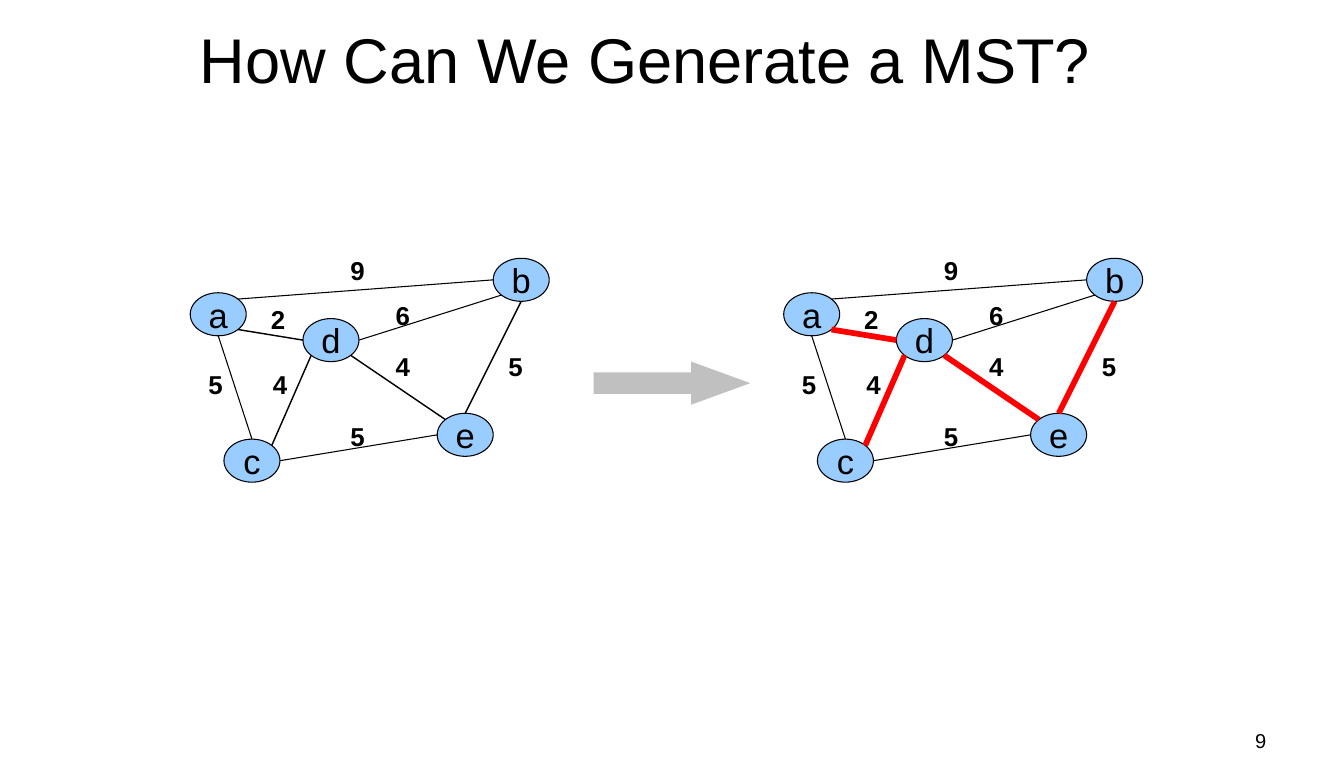
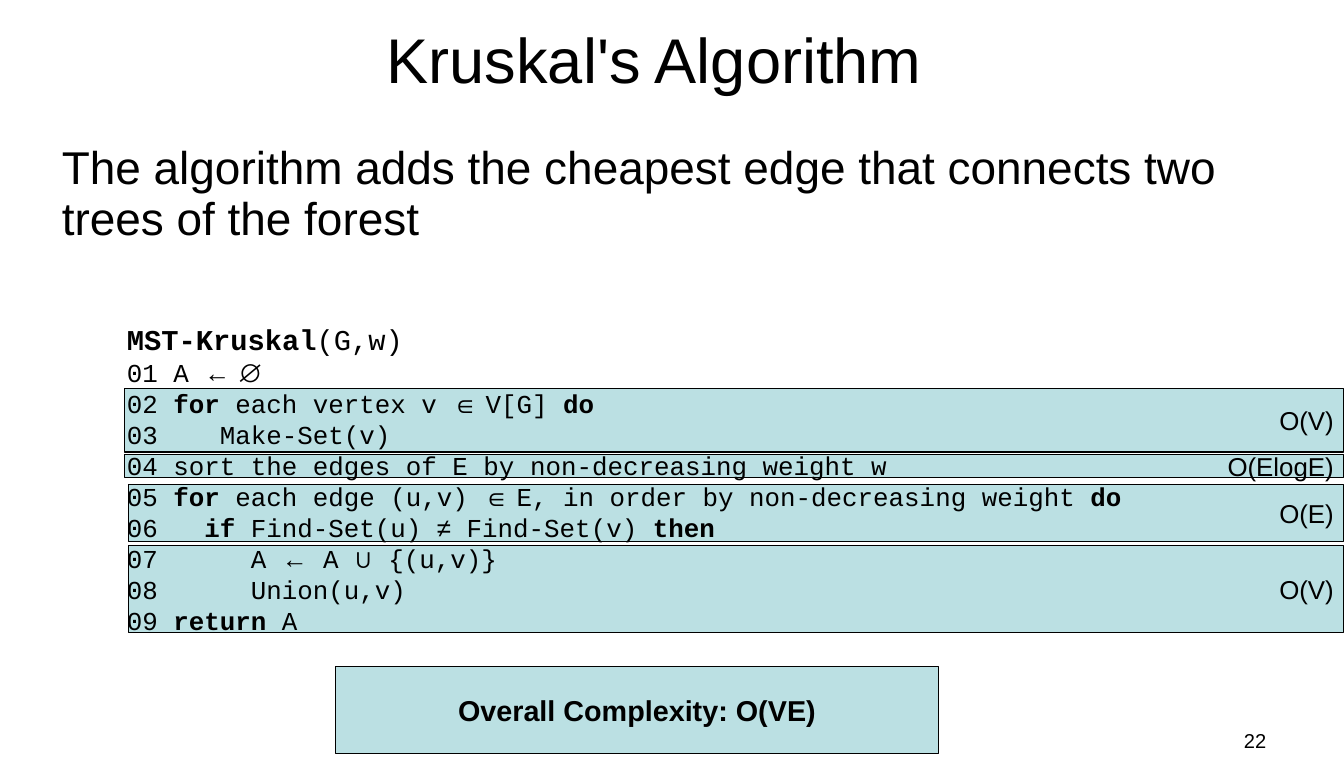
import math
from lxml import etree
from pptx import Presentation
from pptx.dml.color import RGBColor
from pptx.enum import shapes, text
from pptx.oxml.ns import qn
from pptx.util import Pt

COLORS = {
    "ink": "000000",
    "node": "99CCFF",
    "tree": "FF0000",
    "arrow": "C0C0C0",
    "band": "BBE0E3",
}
ALIGN = text.PP_ALIGN
KIND = shapes.MSO_SHAPE


def write(sp, content, size, align=ALIGN.LEFT, bold=False, wrap=True, middle=False):
    tf = sp.text_frame
    tf.word_wrap = wrap
    tf.auto_size = text.MSO_AUTO_SIZE.NONE
    tf.vertical_anchor = text.MSO_ANCHOR.MIDDLE if middle else text.MSO_ANCHOR.TOP
    p = tf.paragraphs[0]
    p.text = content
    p.alignment = align
    p.font.name = "Arial"
    p.font.size = Pt(size)
    p.font.bold = bold
    p.font.color.rgb = RGBColor.from_string(COLORS["ink"])
    return p


def add_filled(parent, kind, box, fill, outlined=True):
    sp = parent.add_shape(kind, *map(Pt, box))
    sp.shadow.inherit = False
    sp.fill.solid()
    sp.fill.fore_color.rgb = RGBColor.from_string(COLORS[fill])
    if outlined:
        sp.line.color.rgb = RGBColor.from_string(COLORS["ink"])
        sp.line.width = Pt(0.75)
    else:
        sp.line.fill.background()
    return sp


prs = Presentation()
prs.slide_width, prs.slide_height = Pt(936), Pt(540)

slides = []
for title, number in [("How Can We Generate a MST? ", "9"), ("Kruskal's Algorithm", "22")]:
    s = prs.slides.add_slide(prs.slide_layouts[5])
    sp = s.shapes.title
    sp.left, sp.top, sp.width, sp.height = Pt(34.5), Pt(8), Pt(842.5), Pt(71)
    p = write(sp, title, 44, ALIGN.CENTER, middle=True)
    p.line_spacing = 0.93
    sp = s.shapes.add_textbox(Pt(671), Pt(504), Pt(218), Pt(25))
    write(sp, number, 14, ALIGN.RIGHT)
    slides.append(s)
graph_slide, algorithm_slide = slides

NODE_W, NODE_H = 39, 30
GRAPH_STEP = 413.3
nodes = {
    "a": (132.5, 204),
    "c": (156, 306),
    "e": (304.5, 288),
    "d": (211, 222),
    "b": (343.5, 180),
}
edges = [
    ("a", 7, "b", 2, 0.75, False),
    ("d", 6, "b", 3, 0.75, False),
    ("a", 4, "c", 0, 0.75, False),
    ("a", 5, "d", 2, 1, True),
    ("c", 7, "d", 3, 1, True),
    ("d", 5, "e", 1, 1, True),
    ("b", 4, "e", 0, 1, True),
    ("e", 2, "c", 6, 0.75, False),
]
weights = [
    ("2", 181.5, 208), ("4", 183, 253.5), ("5", 138, 253.5), ("9", 237, 174),
    ("6", 268.5, 205), ("4", 268.5, 241), ("5", 237, 289.5), ("5", 347, 241),
]

for dx, show_tree in [(0, False), (GRAPH_STEP, True)]:
    graph = graph_slide.shapes.add_group_shape().shapes
    for name, (x, y) in nodes.items():
        sp = add_filled(graph, KIND.OVAL, (x + dx, y, NODE_W, NODE_H), "node")
        write(sp, name, 24, ALIGN.CENTER, wrap=False, middle=True)
    for start, start_site, end, end_site, width, in_tree in edges:
        ends = []
        for name, site in [(start, start_site), (end, end_site)]:
            x, y = nodes[name]
            angle = math.radians(90 + 45 * site)
            ends.append(Pt(x + dx + NODE_W / 2 * (1 + math.cos(angle))))
            ends.append(Pt(y + NODE_H / 2 * (1 - math.sin(angle))))
        line = graph.add_connector(shapes.MSO_CONNECTOR.STRAIGHT, *ends)
        marked = show_tree and in_tree
        line.line.color.rgb = RGBColor.from_string(COLORS["tree" if marked else "ink"])
        line.line.width = Pt(4 if marked else width)
        etree.SubElement(line._element.spPr, qn("a:effectLst"))
    for weight, x, y in weights:
        sp = graph.add_textbox(Pt(x + dx), Pt(y), Pt(24.5), Pt(29))
        write(sp, weight, 18, bold=True, wrap=False)

arrow = add_filled(graph_slide.shapes, KIND.RIGHT_ARROW, (413.5, 252, 109, 30), "arrow", outlined=False)
arrow.adjustments[0] = 0.5
arrow.adjustments[1] = 1.37

bands = [
    ("O(V)", 89.5, 380, 60.5),
    ("O(E)", 89.5, 337.5, 40),
    ("O(ElogE)", 87, 316.5, 16.5),
    ("O(V)", 87, 270.5, 44.5),
]
for cost, x, y, h in bands:
    sp = add_filled(algorithm_slide.shapes, KIND.RECTANGLE, (x, y, 936 - x, h), "band")
    write(sp, cost, 18, ALIGN.RIGHT, wrap=False, middle=True)

sp = algorithm_slide.shapes.add_textbox(Pt(36), Pt(96.5), Pt(842.5), Pt(400))
p = write(sp, "The algorithm adds the cheapest edge that connects two trees of the forest", 32)
p.line_spacing = 0.93
p.space_before = Pt(7)

CHAR_W = 10.8
code = [
    (0, [("MST-Kruskal", "bold"), ("(G,w)", "")]),
    (0, [("01\u00a0A ".replace("\u00a0", " "), ""), ("← ∅", "symbol")]),
    (0, [("02 ", ""), ("for", "bold"), (" each vertex v ", ""), ("∈ ", "symbol"),
         ("V[G] ", ""), ("do", "bold")]),
    (6, [("03\tMake-Set(v)", "")]),
    (0, [("04 sort the edges of E by non-decreasing weight w", "")]),
    (0, [("05 ", ""), ("for ", "bold"), ("each edge (u,v) ", ""), ("∈ ", "symbol"),
         ("E, in order by non-decreasing weight ", ""), ("do", "bold")]),
    (5, [("06\t", ""), ("if", "bold"), (" Find-Set(u) ", ""), ("≠", "symbol"),
         (" Find-Set(v) ", ""), ("then", "bold")]),
    (8, [("07\tA ", ""), ("←", "symbol"), (" A ", ""), ("∪", "symbol"), (" {(u,v)}", "")]),
    (8, [("08\tUnion(u,v)", "")]),
    (0, [("09 ", ""), ("return", "bold"), (" A", "")]),
]
sp = algorithm_slide.shapes.add_textbox(Pt(80.5), Pt(221), Pt(710), Pt(246))
tf = sp.text_frame
tf.word_wrap = True
for i, (column, pieces) in enumerate(code):
    p = tf.paragraphs[0] if i == 0 else tf.add_paragraph()
    p.alignment = ALIGN.JUSTIFY
    p.font.size = Pt(18 if i else 20)
    p.font.color.rgb = RGBColor.from_string(COLORS["ink"])
    hang = column * CHAR_W or 26.6
    pPr = p._p.get_or_add_pPr()
    pPr.set("marL", str(Pt(hang + 0.7)))
    pPr.set("indent", str(-Pt(hang)))
    for piece, style in pieces:
        r = p.add_run()
        r.text = piece
        r.font.size = p.font.size
        r.font.name = "Arial" if style == "symbol" else "Courier New"
        r.font.bold = style == "bold"

sp = add_filled(algorithm_slide.shapes, KIND.RECTANGLE, (233.5, 464.5, 420.5, 60.5), "band")
write(sp, "Overall Complexity: O(VE)", 20, ALIGN.CENTER, bold=True, wrap=False, middle=True)

prs.save("out.pptx")
